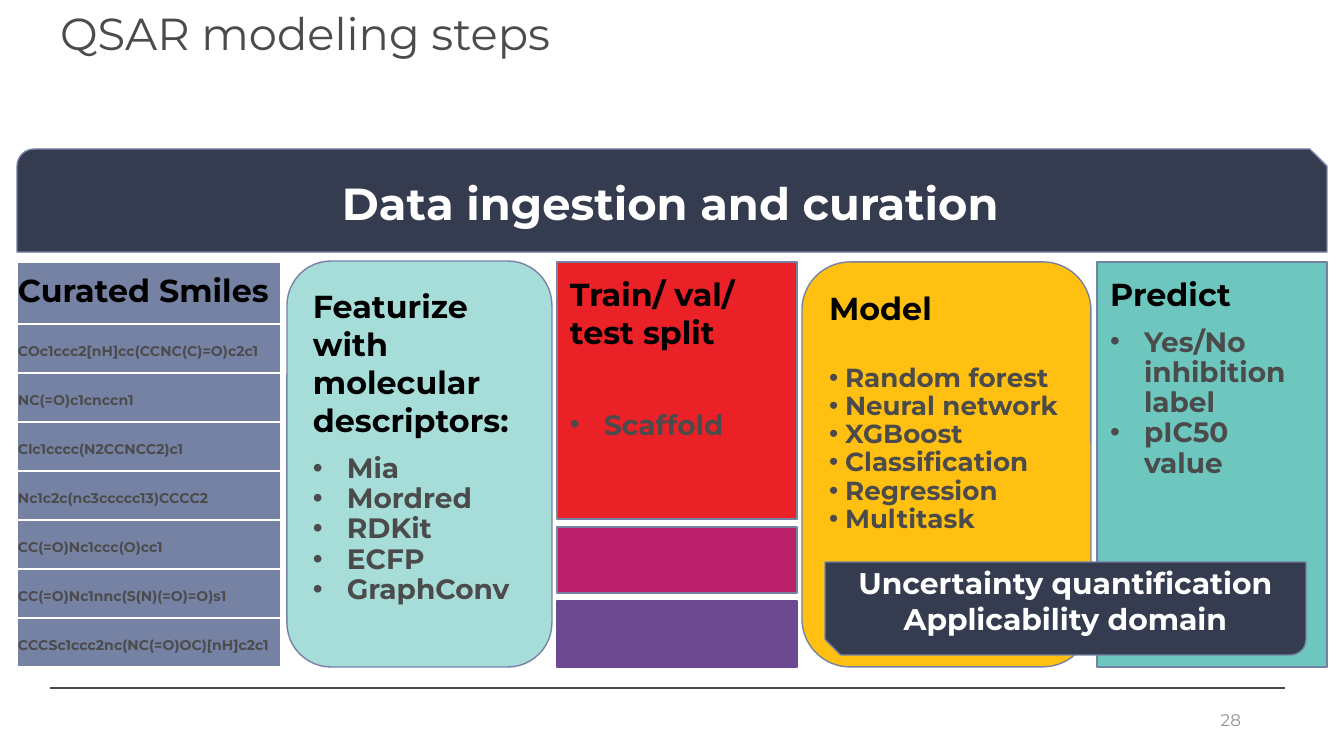
from pptx import Presentation
from pptx import util as u
from pptx.dml.color import RGBColor
from pptx.enum import shapes, text
from pptx.oxml.ns import qn
from lxml import etree

GREY, SLATE, NAVY, WHITE, BLACK = "4B4B4B", "7682A4", "353C50", "FFFFFF", "000000"
HEADING = {"size": 17, "color": BLACK, "bold": True}
ITEM = {"size": 15, "color": GREY, "bold": True}
SMALL_ITEM = {**ITEM, "size": 14}
SMILES = {**ITEM, "size": 7.5}
BANNER = {"size": 24, "color": WHITE, "bold": True}
BADGE = {**BANNER, "size": 16}
TITLE = {"size": 24, "color": GREY, "bold": False}
NUMBER = {"size": 9, "color": "949494", "bold": False}
LEFT, CENTER, RIGHT = text.PP_ALIGN.LEFT, text.PP_ALIGN.CENTER, text.PP_ALIGN.RIGHT
TOP, MIDDLE, BOTTOM = text.MSO_ANCHOR.TOP, text.MSO_ANCHOR.MIDDLE, text.MSO_ANCHOR.BOTTOM
RECT, ROUND, SNIP = (shapes.MSO_SHAPE.RECTANGLE, shapes.MSO_SHAPE.ROUNDED_RECTANGLE,
                     shapes.MSO_SHAPE.SNIP_ROUND_RECTANGLE)
WIDE, TIGHT = (13, 13, 13, 13), (10, 5, 10, 5)


def px(length):
    return u.Emu(round(length * 914400 / 134.4))


def paint(color_format, value):
    color_format.rgb = RGBColor.from_string(value)


class Deck:
    """Holds the font and the current slide, and draws each kind of element on it."""

    def __init__(self, width, height, font):
        self.deck = Presentation()
        self.deck.slide_width, self.deck.slide_height = px(width), px(height)
        self.font = font
        self.slide = self.deck.slides.add_slide(self.deck.slide_layouts[5])

    def style(self, paragraph, look, align=LEFT, **spacing):
        for key, value in {"alignment": align, **spacing}.items():
            setattr(paragraph, key, value)
        values = {"name": self.font, "size": u.Pt(look["size"]), "bold": look["bold"]}
        for key, value in values.items():
            setattr(paragraph.font, key, value)
        paint(paragraph.font.color, look["color"])

    def frame(self, frame, lines, look, align=LEFT, anchor=TOP, insets=WIDE, **spacing):
        values = dict(zip(("margin_left", "margin_top", "margin_right", "margin_bottom"),
                          map(px, insets)))
        values.update(word_wrap=True, auto_size=text.MSO_AUTO_SIZE.NONE, vertical_anchor=anchor)
        for key, value in values.items():
            setattr(frame, key, value)
        for index, line in enumerate(lines):
            paragraph = frame.paragraphs[0] if index == 0 else frame.add_paragraph()
            paragraph.text = line
            self.style(paragraph, look, align, **spacing)

    def title(self, words, *box):
        holder = self.slide.shapes.title
        for key, value in zip(("left", "top", "width", "height"), map(px, box)):
            setattr(holder, key, value)
        self.frame(holder.text_frame, [words], TITLE, LEFT, MIDDLE, TIGHT, line_spacing=0.9)

    def label(self, lines, look, box, **layout):
        holder = self.slide.shapes.add_textbox(*map(px, box))
        self.frame(holder.text_frame, lines, look, **layout)

    def block(self, kind, box, fill, outline=SLATE):
        shape = self.slide.shapes.add_shape(kind, *map(px, box))
        shape.shadow.inherit = False
        shape.fill.solid()
        paint(shape.fill.fore_color, fill)
        shape.line.width = u.Pt(0.75)
        paint(shape.line.color, outline)
        return shape

    def step(self, kind, box, fill, heading, items, look=ITEM, gap=8, indent=34):
        frame = self.block(kind, box, fill).text_frame
        self.frame(frame, [heading], HEADING)
        for index, item in enumerate(items):
            paragraph = frame.add_paragraph()
            paragraph.text = item
            self.bullet(paragraph, indent)
            self.style(paragraph, look, line_spacing=0.9, space_before=u.Pt(0 if index else gap))

    def bullet(self, paragraph, indent):
        props = paragraph._p.get_or_add_pPr()
        props.set("marL", str(px(indent)))
        props.set("indent", str(-px(indent)))
        color = etree.SubElement(props, qn("a:buClr"))
        etree.SubElement(color, qn("a:srgbClr"), val=GREY)
        etree.SubElement(props, qn("a:buFont"), typeface="Arial")
        etree.SubElement(props, qn("a:buChar"), char="•")

    def column(self, left, top, width, heading, entries, head_height, row_height):
        height = head_height + row_height * len(entries)
        box = map(px, (left, top, width, height))
        table = self.slide.shapes.add_table(len(entries) + 1, 1, *box).table
        table.first_row = table.horz_banding = False
        for index, entry in enumerate([heading, *entries]):
            table.rows[index].height = px(row_height if index else head_height)
            cell = table.cell(index, 0)
            cell.fill.solid()
            paint(cell.fill.fore_color, SLATE)
            cell.vertical_anchor = BOTTOM
            cell.margin_left = cell.margin_top = cell.margin_right = px(1)
            cell.margin_bottom = px(13)
            paragraph = cell.text_frame.paragraphs[0]
            paragraph.text = entry
            self.style(paragraph, SMILES if index else HEADING)

    def rule(self, left, right, y):
        line = self.slide.shapes.add_connector(shapes.MSO_CONNECTOR.STRAIGHT,
                                               *map(px, (left, y, right, y)))
        line.line.width = u.Pt(0.75)
        paint(line.line.color, GREY)
        etree.SubElement(line._element.spPr, qn("a:effectLst"))


def main():
    deck = Deck(1344, 756, "Montserrat")
    deck.rule(50, 1285, 688)
    deck.label(["28"], NUMBER, (949, 700, 302, 40), align=RIGHT, anchor=MIDDLE, insets=TIGHT)
    deck.title("QSAR modeling steps", 50, 5, 1235, 62)

    deck.step(ROUND, (287, 261, 265, 406), "A7DDD8", "Featurize with molecular descriptors:",
              ["Mia", "Mordred", "RDKit", "ECFP", "GraphConv"])
    deck.step(RECT, (557, 262, 240, 257), "EA2127", "Train/ val/ test split",
              ["Scaffold"], gap=32)
    for top, fill, outline in ((527, "BD206B", SLATE), (601, "6C4990", "6C4990")):
        deck.block(RECT, (557, top, 240, 66), fill, outline)
    deck.column(17, 262, 264, "Curated Smiles", [
        "COc1ccc2[nH]cc(CCNC(C)=O)c2c1", "NC(=O)c1cnccn1", "Clc1cccc(N2CCNCC2)c1",
        "Nc1c2c(nc3ccccc13)CCCC2", "CC(=O)Nc1ccc(O)cc1", "CC(=O)Nc1nnc(S(N)(=O)=O)s1",
        "CCCSc1ccc2nc(NC(=O)OC)[nH]c2c1"], 62, 49)
    deck.step(ROUND, (802, 262, 289, 405), "FFC012", "Model",
              ["Random forest", "Neural network", "XGBoost", "Classification", "Regression",
               "Multitask"], SMALL_ITEM, gap=20, indent=16)
    deck.step(RECT, (1097, 262, 230, 405), "6DC7BE", "Predict",
              ["Yes/No inhibition label", "pIC50 value"])

    banner = deck.block(SNIP, (17, 149, 1310, 103), NAVY)
    deck.frame(banner.text_frame, ["Data ingestion and curation"], BANNER, CENTER, MIDDLE)
    deck.block(SNIP, (825, 562, 481, 93), NAVY).rotation = 180
    deck.label(["Uncertainty quantification", "Applicability domain"], BADGE,
               (825, 552, 481, 93), align=CENTER)
    deck.deck.save("out.pptx")


if __name__ == "__main__":
    main()
